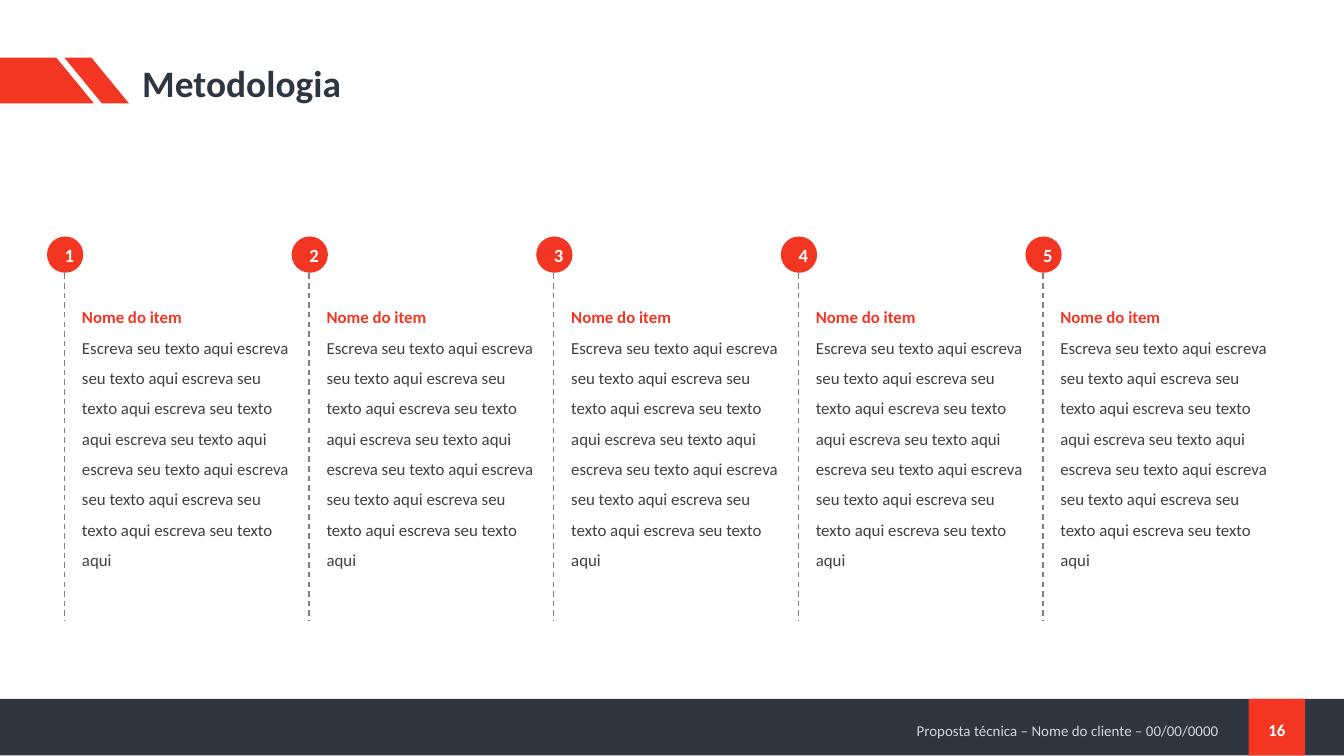
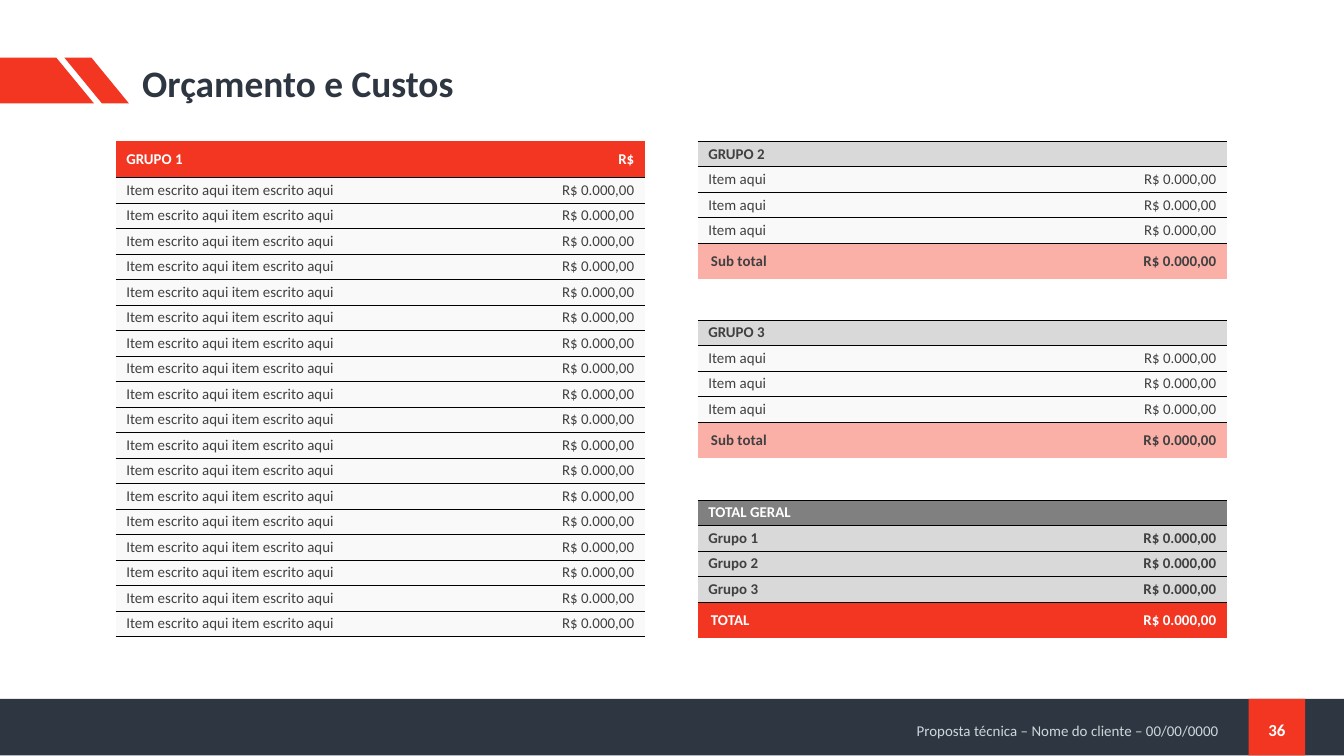
from dataclasses import dataclass

from lxml import etree
from pptx import Presentation
from pptx.dml.color import RGBColor
from pptx.enum.dml import MSO_LINE
from pptx.enum.shapes import MSO_CONNECTOR, MSO_SHAPE
from pptx.enum.text import MSO_ANCHOR, PP_ALIGN
from pptx.oxml.ns import qn
from pptx.util import Inches, Pt

FONT = "Calibri"
RED = RGBColor(0xF2, 0x36, 0x22)
PINK = RGBColor(0xFA, 0xAF, 0xA7)
NAVY = RGBColor(0x2E, 0x36, 0x41)
MIST = RGBColor(0xCF, 0xD6, 0xDC)
DARK = RGBColor(0x40, 0x40, 0x40)
GRAY = RGBColor(0x80, 0x80, 0x80)
SILVER = RGBColor(0xD9, 0xD9, 0xD9)
PALE = RGBColor(0xF9, 0xF9, 0xF9)
WHITE = RGBColor(0xFF, 0xFF, 0xFF)

NO_GRID_STYLE = "{2D5ABB26-0587-4C30-8999-92F81FD0307C}"
PRICE = "R$ 0.000,00"
ITEM_TEXT = " ".join(["Escreva seu texto aqui"] + ["escreva seu texto aqui"] * 8)


@dataclass
class RowStyle:
    fill: RGBColor
    color: RGBColor
    bold: bool = True
    height: float = 0.19
    borders: tuple = ("a:lnT", "a:lnB")
    label_inset: float = 0.08


MAIN_HEAD = RowStyle(RED, WHITE, height=0.27, borders=("a:lnB",))
GROUP_HEAD = RowStyle(SILVER, DARK)
TOTAL_HEAD = RowStyle(GRAY, WHITE)
ITEM = RowStyle(PALE, DARK, bold=False)
GROUP_SUM = RowStyle(SILVER, DARK)
SUBTOTAL = RowStyle(PINK, DARK, height=0.27, borders=("a:lnT",), label_inset=0.1)
TOTAL = RowStyle(RED, WHITE, height=0.27, borders=("a:lnT",), label_inset=0.1)


# Basic elements
def add_run(p, text, size, color, bold=False):
    r = p.add_run()
    r.text = text
    r.font.name = FONT
    r.font.size = Pt(size)
    r.font.bold = bold
    r.font.color.rgb = color


def add_text(s, x, y, w, h, text, size, color, bold=False,
             align=PP_ALIGN.LEFT, spacing=None, right=0.1):
    tf = s.shapes.add_textbox(Inches(x), Inches(y), Inches(w), Inches(h)).text_frame
    tf.word_wrap = True
    tf.vertical_anchor = MSO_ANCHOR.MIDDLE
    tf.margin_right = Inches(right)
    p = tf.paragraphs[0]
    p.alignment = align
    p.line_spacing = spacing
    add_run(p, text, size, color, bold)


def paint(sp, color):
    sp.shadow.inherit = False
    sp.fill.solid()
    sp.fill.fore_color.rgb = color
    sp.line.fill.background()


def add_block(s, kind, x, y, w, h, color):
    sp = s.shapes.add_shape(kind, Inches(x), Inches(y), Inches(w), Inches(h))
    paint(sp, color)
    return sp


# Frame shared by the slides
def add_slide(prs, title, number):
    s = prs.slides.add_slide(prs.slide_layouts[6])
    add_block(s, MSO_SHAPE.RECTANGLE, 0, 5.2, 10, 0.42, NAVY)
    add_block(s, MSO_SHAPE.RECTANGLE, 9.29, 5.2, 0.42, 0.42, RED)

    # Title marker
    fb = s.shapes.build_freeform(0, Inches(0.43))
    corners = [(0.42, 0.43), (0.7, 0.77), (0, 0.77)]
    fb.add_line_segments([(Inches(x), Inches(y)) for x, y in corners], close=True)
    paint(fb.convert_to_shape(), RED)
    slash = add_block(s, MSO_SHAPE.PARALLELOGRAM, 0.48, 0.43, 0.48, 0.34, RED)
    slash.adjustments[0] = 0.82
    slash._element.spPr.find(qn("a:xfrm")).set("flipH", "1")

    # Footer, title and page number
    add_text(s, 5.59, 5.34, 3.63, 0.21, "Proposta técnica – Nome do cliente – 00/00/0000",
             8, MIST, align=PP_ALIGN.RIGHT, spacing=0.9, right=0.15)
    add_text(s, 0.96, 0.43, 8.75, 0.41, title, 20, NAVY, True, spacing=0.9)
    add_text(s, 9.29, 5.28, 0.42, 0.3, str(number), 9, WHITE, True, PP_ALIGN.CENTER)
    return s


# Methodology steps
def add_dashed_line(s, x, top, bottom):
    cn = s.shapes.add_connector(MSO_CONNECTOR.STRAIGHT, Inches(x), Inches(top),
                                Inches(x), Inches(bottom))
    cn.line.color.rgb = GRAY
    cn.line.width = Pt(0.75)
    cn.line.dash_style = MSO_LINE.DASH
    etree.SubElement(cn._element.spPr, qn("a:effectLst"))


def add_step(s, x, number):
    add_dashed_line(s, x + 0.13, 1.82, 4.62)
    badge = add_block(s, MSO_SHAPE.OVAL, x, 1.76, 0.27, 0.27, RED)
    p = badge.text_frame.paragraphs[0]
    p.alignment = PP_ALIGN.CENTER
    add_run(p, str(number), 10, WHITE, True)

    box = s.shapes.add_textbox(Inches(x + 0.18), Inches(2.16), Inches(1.72), Inches(2.35))
    tf = box.text_frame
    tf.word_wrap = True
    tf.margin_left, tf.margin_right = Inches(0.08), Inches(0.04)
    heading, body = tf.paragraphs[0], tf.add_paragraph()
    heading.line_spacing = body.line_spacing = 1.5
    add_run(heading, "Nome do item", 9, RED, True)
    add_run(body, ITEM_TEXT, 9, DARK)


# Cost tables
def add_borders(cell, tags):
    tcPr = cell._tc.get_or_add_tcPr()
    for i, tag in enumerate(tags):
        ln = etree.Element(qn(tag), w=str(Pt(0.25)))
        fill = etree.SubElement(ln, qn("a:solidFill"))
        etree.SubElement(fill, qn("a:srgbClr"), val="000000")
        tcPr.insert(i, ln)


def fill_cell(cell, text, style, align, inset):
    cell.fill.solid()
    cell.fill.fore_color.rgb = style.fill
    cell.vertical_anchor = MSO_ANCHOR.MIDDLE
    cell.margin_left, cell.margin_right = Inches(inset), Inches(0.08)
    cell.margin_top = cell.margin_bottom = 0
    p = cell.text_frame.paragraphs[0]
    p.alignment = align
    if text:
        add_run(p, text, 8, style.color, style.bold)
    else:
        p._p.get_or_add_endParaRPr().set("sz", "800")
    add_borders(cell, style.borders)


def add_cost_table(s, x, y, rows):
    height = sum(style.height for style, _, _ in rows)
    table = s.shapes.add_table(len(rows), 2, Inches(x), Inches(y),
                               Inches(3.94), Inches(height)).table
    table.first_row = table.horz_banding = False
    table._tbl.tblPr.find(qn("a:tableStyleId")).text = NO_GRID_STYLE
    table.columns[0].width, table.columns[1].width = Inches(2.74), Inches(1.2)
    for i, (style, label, value) in enumerate(rows):
        table.rows[i].height = Inches(style.height)
        fill_cell(table.cell(i, 0), label, style, PP_ALIGN.LEFT, style.label_inset)
        fill_cell(table.cell(i, 1), value, style, PP_ALIGN.RIGHT, 0.08)


def group_rows(name):
    return ([(GROUP_HEAD, name, "")] + [(ITEM, "Item aqui", PRICE)] * 3
            + [(SUBTOTAL, "Sub total", PRICE)])


def main():
    prs = Presentation()
    # Widescreen, 16:9
    prs.slide_width = Inches(10)
    prs.slide_height = Inches(10) * 9 // 16

    # Methodology
    s = add_slide(prs, "Metodologia", 16)
    for i in range(5):
        add_step(s, 0.35 + 1.82 * i, i + 1)

    # Budget and costs
    s = add_slide(prs, "Orçamento e Custos", 36)
    items = [(ITEM, "Item escrito aqui item escrito aqui", PRICE)] * 18
    add_cost_table(s, 0.86, 1.05, [(MAIN_HEAD, "GRUPO 1", "R$")] + items)
    total_rows = [(TOTAL_HEAD, "TOTAL GERAL", "")]
    total_rows += [(GROUP_SUM, f"Grupo {n}", PRICE) for n in (1, 2, 3)]
    total_rows.append((TOTAL, "TOTAL", PRICE))
    add_cost_table(s, 5.19, 1.05, group_rows("GRUPO 2"))
    add_cost_table(s, 5.19, 2.38, group_rows("GRUPO 3"))
    add_cost_table(s, 5.19, 3.72, total_rows)

    prs.save("out.pptx")


if __name__ == "__main__":
    main()
